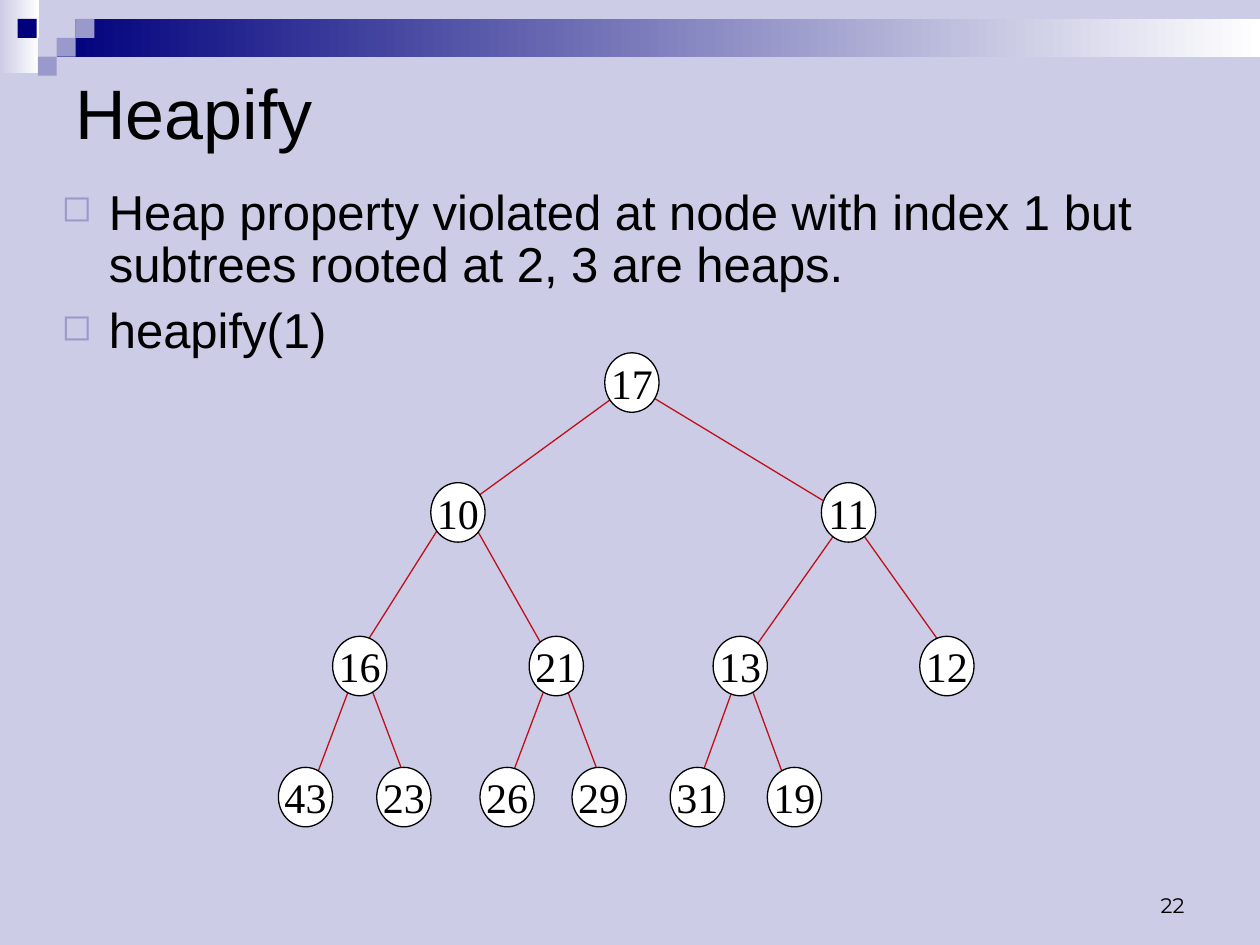
"""Build the Heapify slide: a heap drawn as a binary tree under two bullet points."""
from dataclasses import dataclass

from lxml import etree
from pptx import Presentation
from pptx import util as u
from pptx.dml import color as c
from pptx.enum import shapes, text
from pptx.oxml import ns

LAVENDER, NAVY, VIOLET = "CCCCE6", "00007D", "9999CC"
WHITE, BLACK, RED = "FFFFFF", "000000", "BF0F18"
NODE_WIDTH, NODE_HEIGHT = 31, 34
LEVEL_TOPS = (201.6, 275.8, 363.6, 438.5)
SQUARE = 10.8


@dataclass
class Node:
    value: str
    left: float
    level: int


@dataclass
class Edge:
    x1: float
    y1: float
    x2: float
    y2: float


@dataclass
class Block:
    left: float
    top: float
    width: float
    height: float
    colours: tuple


@dataclass
class Label:
    lines: tuple
    left: float
    top: float
    width: float
    height: float
    font: dict
    frame: dict
    paragraph: dict
    bullet: bool = False


NODES = (
    Node("17", 345.6, 0),
    Node("10", 246.2, 1), Node("11", 469.4, 1),
    Node("16", 190.1, 2), Node("21", 302.4, 2), Node("13", 407.5, 2), Node("12", 525.6, 2),
    Node("43", 159.1, 3), Node("23", 215.3, 3), Node("26", 274.3, 3),
    Node("29", 326.9, 3), Node("31", 383, 3), Node("19", 438.5, 3),
)
EDGES = (
    Edge(357.8, 221.8, 265, 289.4), Edge(364.3, 221.8, 475.9, 289.4),
    Edge(258.5, 289.4, 203, 377.3), Edge(265, 289.4, 314.6, 377.3),
    Edge(488.2, 289.4, 426.2, 377.3), Edge(481.7, 289.4, 544.3, 377.3),
    Edge(203, 384.5, 177.8, 451.4), Edge(208.8, 384.5, 234, 451.4),
    Edge(314.6, 384.5, 289.4, 451.4), Edge(320.4, 384.5, 345.6, 451.4),
    Edge(419.8, 391, 395.3, 458.6), Edge(426.2, 384.5, 450.7, 451.4),
)
BLOCKS = (
    Block(0, 0, 22.3, 41.8, (WHITE, LAVENDER)),
    Block(32.4, 10.8, 687.6, 21.6, (WHITE, NAVY)),
    *(Block(left, top, SQUARE, SQUARE, (colour,)) for left, top, colour in (
        (32.4, 10.8, LAVENDER), (43.2, 0, LAVENDER), (43.2, 10.8, VIOLET),
        (21.6, 21.6, LAVENDER), (10.1, 10.8, NAVY), (32.4, 21.6, VIOLET),
        (21.6, 32.4, VIOLET))),
)
LABELS = (
    Label(("Heapify",), 36, 36, 648, 55.4, {"name": "Arial", "size": u.Pt(40)},
          {"vertical_anchor": text.MSO_ANCHOR.MIDDLE}, {}),
    Label(("Heap property violated at node with index 1 but subtrees rooted at 2, 3 are heaps.",
           "heapify(1)"), 28.1, 103.7, 661.7, 113.8, {"name": "Arial", "size": u.Pt(28)},
          {"vertical_anchor": text.MSO_ANCHOR.TOP}, {"line_spacing": 0.9}, bullet=True),
    Label(("22",), 516.2, 491.8, 167.8, 36, {"name": "Montserrat", "size": u.Pt(12)},
          {"vertical_anchor": text.MSO_ANCHOR.BOTTOM}, {"alignment": text.PP_ALIGN.RIGHT}),
)
NODE_FRAME = {"margin_left": 0, "margin_right": 0, "margin_top": 0, "margin_bottom": 0,
              "word_wrap": False, "vertical_anchor": text.MSO_ANCHOR.MIDDLE}
NODE_FONT = {"name": "Times New Roman", "size": u.Pt(24)}


def paint(target, colour: str) -> None:
    """Give a colour format or a fill one hex colour."""
    if hasattr(target, "solid"):
        target.solid()
        target = target.fore_color
    target.rgb = c.RGBColor.from_string(colour)


def apply(target, values: dict) -> None:
    """Set every named attribute on the target."""
    for name, value in values.items():
        setattr(target, name, value)


def points(*lengths: float) -> list:
    """Turn plain numbers into point lengths."""
    return [u.Pt(length) for length in lengths]


def write(para, words: str, font: dict) -> None:
    """Add one black run to a paragraph."""
    span = para.add_run()
    span.text = words
    apply(span.font, font)
    paint(span.font.color, BLACK)


def add_bullet(para) -> None:
    """Give a paragraph a hanging violet square."""
    properties = para._p.get_or_add_pPr()
    properties.set("marL", str(u.Pt(27)))
    properties.set("indent", str(-u.Pt(27)))
    colour = etree.SubElement(properties, ns.qn("a:buClr"))
    etree.SubElement(colour, ns.qn("a:srgbClr"), val=VIOLET)
    etree.SubElement(properties, ns.qn("a:buSzPct"), val="75000")
    etree.SubElement(properties, ns.qn("a:buChar"), char="◻")


def draw_block(page, block: Block) -> None:
    """Draw a plain or gradient rectangle of the header."""
    box = page.shapes.add_shape(shapes.MSO_SHAPE.RECTANGLE,
                                *points(block.left, block.top, block.width, block.height))
    box.shadow.inherit = False
    box.line.fill.background()
    if len(block.colours) == 1:
        paint(box.fill, block.colours[0])
        return
    box.fill.gradient()
    box.fill.gradient_angle = 180
    for stop, colour in zip(box.fill.gradient_stops, block.colours):
        paint(stop.color, colour)


def draw_label(page, label: Label) -> None:
    """Draw a text box with one paragraph per line."""
    box = page.shapes.add_textbox(*points(label.left, label.top, label.width, label.height))
    frame = box.text_frame
    apply(frame, {"word_wrap": True, **label.frame})
    for index, words in enumerate(label.lines):
        para = frame.add_paragraph() if index else frame.paragraphs[0]
        if label.bullet:
            add_bullet(para)
        apply(para, label.paragraph)
        if index:
            para.space_before = u.Pt(7)
        write(para, words, label.font)


def draw_edge(page, edge: Edge) -> None:
    """Draw a red line from parent to child."""
    line = page.shapes.add_connector(shapes.MSO_CONNECTOR.STRAIGHT,
                                     *points(edge.x1, edge.y1, edge.x2, edge.y2))
    line.line.width = u.Pt(0.75)
    paint(line.line.fill, RED)
    etree.SubElement(line._element.spPr, ns.qn("a:effectLst"))


def draw_node(page, node: Node) -> None:
    """Draw a white circle holding the value of its node."""
    circle = page.shapes.add_shape(shapes.MSO_SHAPE.OVAL, *points(
        node.left, LEVEL_TOPS[node.level], NODE_WIDTH, NODE_HEIGHT))
    circle.shadow.inherit = False
    paint(circle.fill, WHITE)
    paint(circle.line.fill, BLACK)
    circle.line.width = u.Pt(0.75)
    apply(circle.text_frame, NODE_FRAME)
    para = circle.text_frame.paragraphs[0]
    para.alignment = text.PP_ALIGN.CENTER
    write(para, node.value, NODE_FONT)


def main() -> None:
    """Build and save the deck."""
    deck = Presentation()
    apply(deck, {"slide_width": u.Pt(720), "slide_height": u.Pt(540)})
    page = deck.slides.add_slide(deck.slide_layouts[6])
    paint(page.background.fill, LAVENDER)
    for items, draw in ((BLOCKS, draw_block), (LABELS, draw_label),
                        (EDGES, draw_edge), (NODES, draw_node)):
        for item in items:
            draw(page, item)
    deck.save("out.pptx")


if __name__ == "__main__":
    main()
